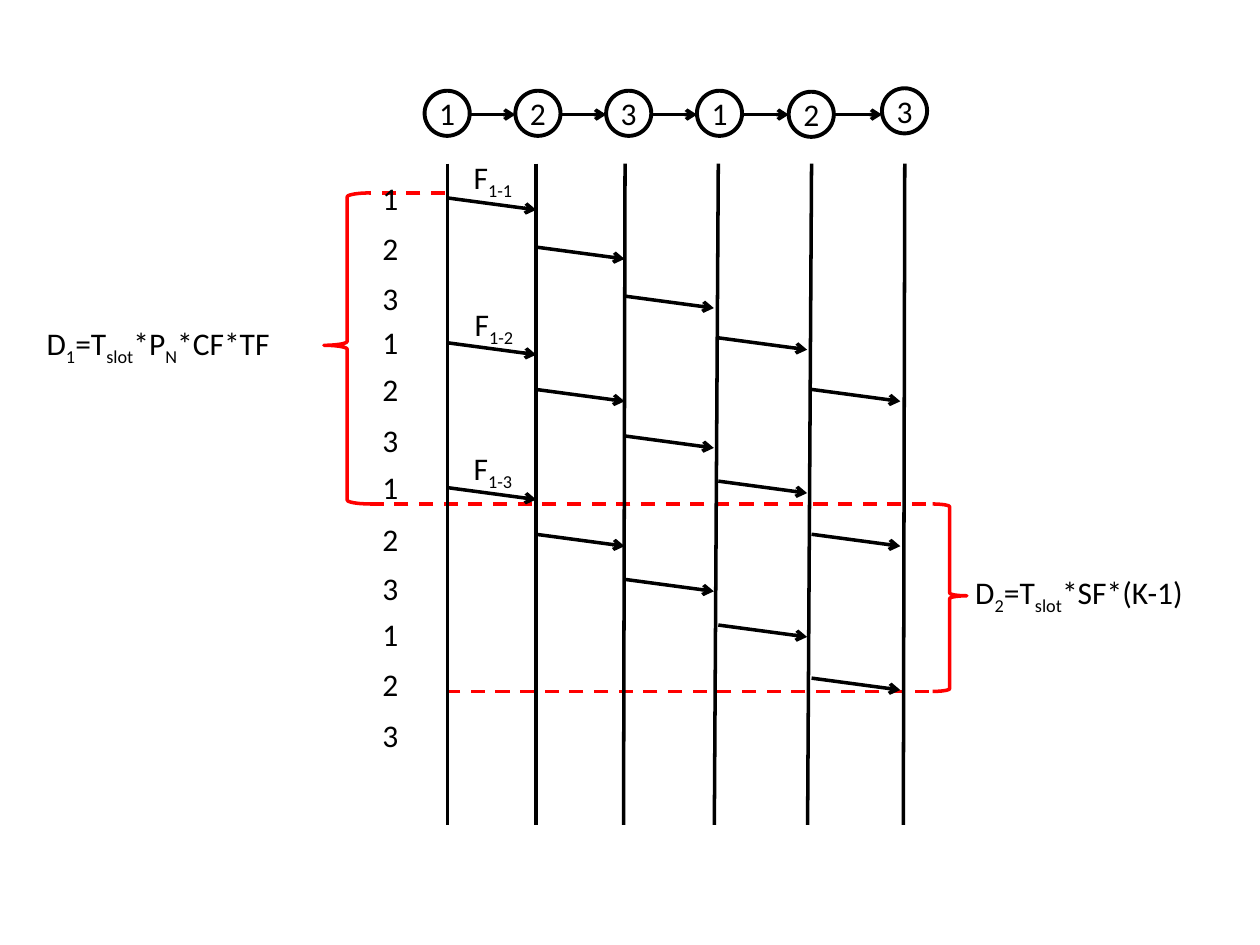
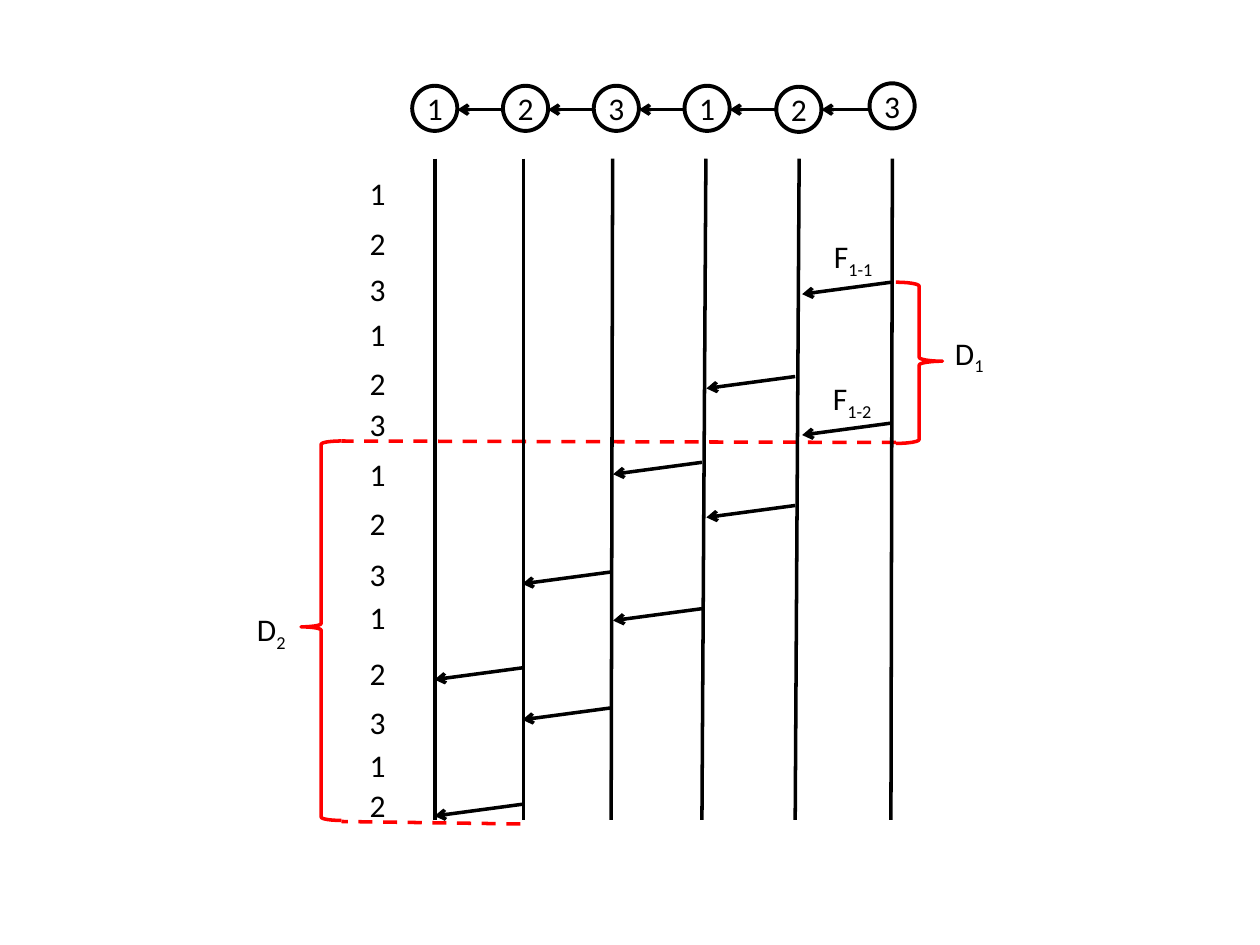
from dataclasses import dataclass

from lxml import etree
from pptx import Presentation
from pptx.dml.color import RGBColor
from pptx.enum.dml import MSO_LINE
from pptx.enum.shapes import MSO_CONNECTOR, MSO_SHAPE
from pptx.enum.text import MSO_ANCHOR, PP_ALIGN
from pptx.oxml.ns import qn
from pptx.util import Cm, Pt

DASH = MSO_LINE.DASH
STRAIGHT = MSO_CONNECTOR.STRAIGHT
OVAL = MSO_SHAPE.OVAL
LEFT = MSO_SHAPE.LEFT_BRACE
RIGHT = MSO_SHAPE.RIGHT_BRACE
MIDDLE = MSO_ANCHOR.MIDDLE
CENTER = PP_ALIGN.CENTER


@dataclass
class Theme:
    font: str = "Calibri"
    size: Pt = Pt(18)
    ink: RGBColor = RGBColor(0, 0, 0)
    paper: RGBColor = RGBColor(255, 255, 255)
    mark: RGBColor = RGBColor(255, 0, 0)
    thin: Pt = Pt(2)
    thick: Pt = Pt(2.25)


theme = Theme()


def write(frame, text):
    """Fill a frame; parts between underscores become subscripts."""
    par = frame.paragraphs[0]
    for i, part in enumerate(text.split("_")):
        if part:
            run = par.add_run()
            run.text = part
            if i % 2:
                run.font._element.set("baseline", "-25000")
    par.font.name = theme.font
    par.font.size = theme.size
    par.font.color.rgb = theme.ink
    return par


def draw(slide, ends, color, dash=None, arrow=False):
    """Draw a straight line; ends are x1, y1, x2, y2 in centimetres."""
    link = slide.shapes.add_connector(STRAIGHT, *[Cm(v) for v in ends])
    link.line.color.rgb = color
    link.line.width = theme.thin
    if dash:
        link.line.dash_style = dash
    props = link._element.spPr
    if arrow:
        etree.SubElement(props.find(qn("a:ln")), qn("a:tailEnd"), type="arrow")
    etree.SubElement(props, qn("a:effectLst"))


# Both slides share nodes and lanes; all lengths are centimetres.
NODES = [(8.56, 1.83), (10.39, 1.83), (12.22, 1.83),
         (14.05, 1.83), (15.9, 1.85), (17.78, 1.78)]
DIAM = 0.91
LINK_Y = 2.31
TOPS = [9.02, 10.8, 12.6, 14.48, 16.36, 18.24]
FEET = [9.02, 10.8, 12.57, 14.4, 16.28, 18.21]
LANE_TOP, LANE_END = 3.3, 16.63
HOP, DROP = 1.79, 0.24
ROW = 1.02

forward = {
    "shift": (0, 0),
    "way": 1,
    "starts": TOPS,
    "hops": {0: [3.99, 6.91, 9.83], 1: [4.98, 7.85, 10.77],
             2: [5.97, 8.79, 11.68], 3: [6.81, 9.7, 12.6],
             4: [7.85, 10.77, 13.67]},
    "slot_x": 7.46,
    "slots": [3.48, 4.5, 5.51, 6.38, 7.34, 8.36,
              9.32, 10.36, 11.35, 12.27, 13.28, 14.3],
    "labels": [(9.3, 3.07, 1.37, "F_1-1_"), (9.32, 6.02, 1.37, "F_1-2_"),
               (9.3, 8.92, 1.37, "F_1-3_"),
               (0.69, 6.4, 6.76, "D_1_=T_slot_*P_N_*CF*TF"),
               (19.41, 11.43, 5.66, "D_2_=T_slot_*SF*(K-1)")],
    "braces": [(LEFT, 6.53, 3.89, 0.94, 6.27), (RIGHT, 18.8, 10.16, 0.69, 3.78)],
    "dashes": [(18.72, 13.94, 9.02, 13.94), (8.97, 3.89, 7.44, 3.89),
               (18.67, 10.16, 7.44, 10.16)],
}
backward = {
    "shift": (-0.25, -0.1),
    "way": -1,
    "starts": FEET,
    "hops": {5: [5.69, 8.53], 4: [7.59, 10.19], 3: [9.32, 12.27],
             2: [11.53, 14.27], 1: [13.46, 16.21]},
    "slot_x": 7.2,
    "slots": [3.38, 4.39, 5.31, 6.22, 7.21, 8.05, 9.04,
              10.03, 11.07, 11.94, 13.06, 14.05, 14.91, 15.72],
    "labels": [(16.56, 4.65, 1.37, "F_1-1_"), (16.54, 7.52, 1.37, "F_1-2_"),
               (19, 6.6, 1.37, "D_1_"), (4.93, 12.17, 1.37, "D_2_")],
    "braces": [(RIGHT, 18.06, 5.69, 0.94, 3.25), (LEFT, 6.07, 8.89, 0.81, 7.65)],
    "dashes": [(18.06, 8.92, 6.88, 8.89), (10.49, 16.61, 6.88, 16.56)],
}

deck = Presentation()
deck.slide_width, deck.slide_height = Cm(25.4), Cm(19.05)

for plan in (forward, backward):
    slide = deck.slides.add_slide(deck.slide_layouts[6])
    dx, dy = plan["shift"]
    way = plan["way"]

    for ends in plan["dashes"]:
        draw(slide, ends, theme.mark, dash=DASH)

    # Ring of nodes and the links between them
    for i, (x, y) in enumerate(NODES):
        node = slide.shapes.add_shape(
            OVAL, Cm(x + dx), Cm(y + dy), Cm(DIAM), Cm(DIAM))
        node.shadow.inherit = False
        node.fill.solid()
        node.fill.fore_color.rgb = theme.paper
        node.line.color.rgb = theme.ink
        node.line.width = theme.thick
        frame = node.text_frame
        frame.margin_left = frame.margin_right = 0
        frame.margin_top = frame.margin_bottom = 0
        frame.vertical_anchor = MIDDLE
        frame.word_wrap = False
        write(frame, str(i % 3 + 1)).alignment = CENTER
    for (x, _), (after, _) in zip(NODES, NODES[1:]):
        start, end = (x + DIAM + dx, after + dx)[::way]
        draw(slide, (start, LINK_Y + dy, end, LINK_Y + dy), theme.ink, arrow=True)

    # Time lanes and the hops between them
    for top, foot in zip(TOPS, FEET):
        draw(slide, (top + dx, LANE_TOP + dy, foot + dx, LANE_END + dy), theme.ink)
    for lane, times in plan["hops"].items():
        x = plan["starts"][lane] + dx
        for y in times:
            draw(slide, (x, y, x + way * HOP, y + DROP), theme.ink, arrow=True)

    for kind, *box in plan["braces"]:
        brace = slide.shapes.add_shape(kind, *[Cm(v) for v in box])
        brace.shadow.inherit = False
        brace.adjustments[1] = 0.49
        brace.fill.background()
        brace.line.color.rgb = theme.mark
        brace.line.width = theme.thin

    # Slot numbers, frame names and delays
    slots = [(plan["slot_x"], y, 0.84, str(i % 3 + 1))
             for i, y in enumerate(plan["slots"])]
    for x, y, w, text in slots + plan["labels"]:
        frame = slide.shapes.add_textbox(Cm(x), Cm(y), Cm(w), Cm(ROW)).text_frame
        frame.word_wrap = text.startswith("D")
        write(frame, text)

deck.save("out.pptx")
